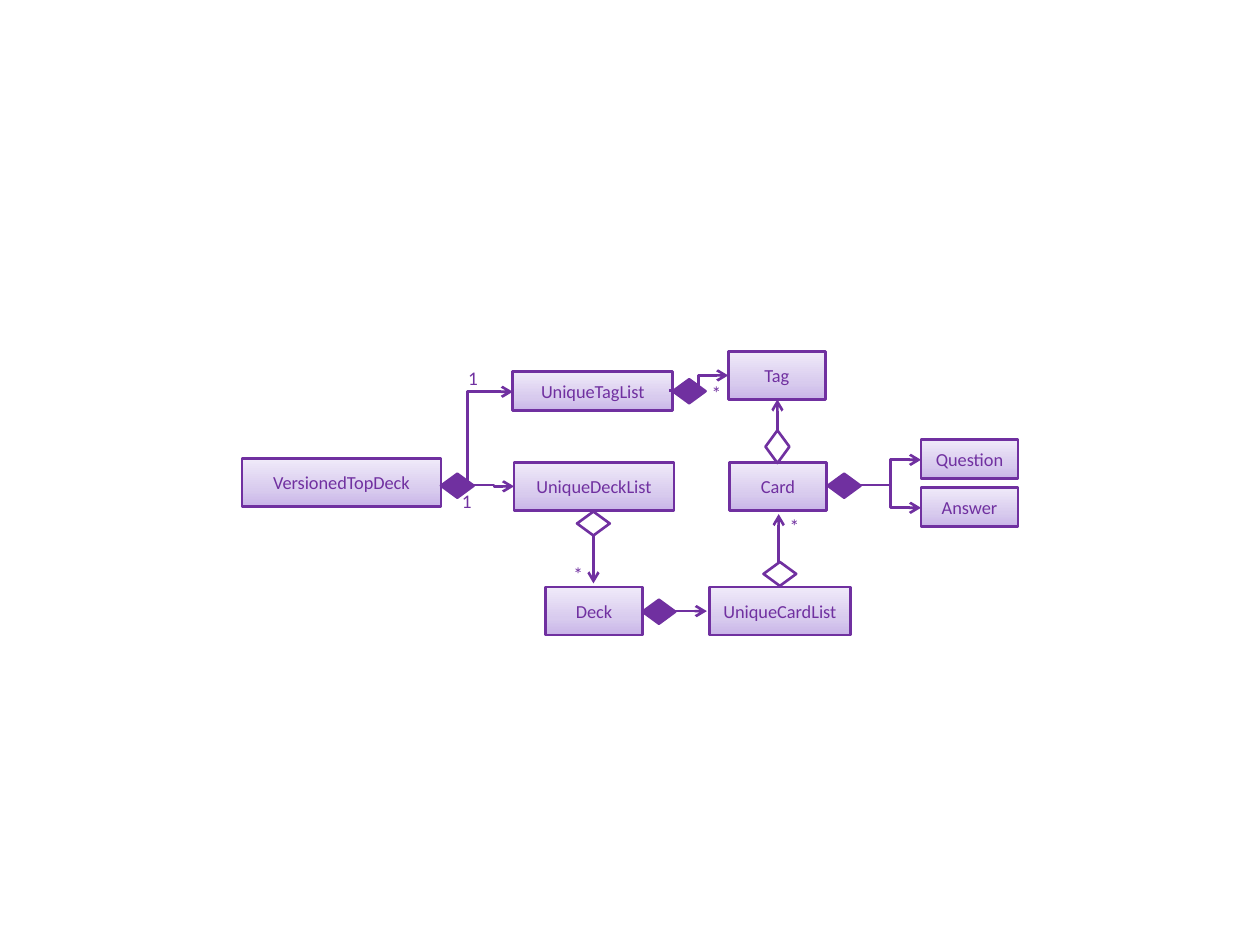
from copy import deepcopy

from lxml.etree import SubElement
from pptx import Presentation
from pptx.dml.color import RGBColor
from pptx.enum.shapes import MSO_CONNECTOR, MSO_SHAPE
from pptx.enum.text import MSO_ANCHOR, PP_ALIGN
from pptx.oxml.ns import qn
from pptx.util import Inches, Pt

COLORS = {"purple": "7030A0", "low": "C9B5E8", "mid": "D8CBEE", "high": "F0EAF9"}
PURPLE = RGBColor.from_string(COLORS["purple"])
STOPS = [(0, "low"), (0.35, "mid"), (1, "high")]
DIAMOND_W, DIAMOND_H = 0.26, 0.19

# Class boxes: name, left, top, width, height
CLASSES = [
    ("VersionedTopDeck", 1.92, 3.64, 1.58, 0.38),
    ("UniqueTagList", 4.07, 2.95, 1.27, 0.31),
    ("UniqueDeckList", 4.08, 3.67, 1.27, 0.38),
    ("Deck", 4.33, 4.66, 0.77, 0.38),
    ("UniqueCardList", 5.63, 4.66, 1.12, 0.38),
    ("Tag", 5.78, 2.79, 0.77, 0.38),
    ("Card", 5.79, 3.67, 0.77, 0.38),
    ("Question", 7.31, 3.49, 0.77, 0.31),
    ("Answer", 7.31, 3.87, 0.77, 0.31),
]
# Arrows: start x, start y, end x, end y
ELBOWS = [
    (3.76, 3.85, 4.08, 3.86),
    (5.31, 3.1, 5.78, 2.98),
    (6.83, 3.85, 7.31, 3.65),
    (6.83, 3.85, 7.31, 4.03),
]
STRAIGHTS = [
    (4.71, 4.25, 4.71, 4.63),
    (5.36, 4.85, 5.61, 4.85),
    (6.18, 4.46, 6.18, 4.08),
    (6.17, 3.42, 6.17, 3.17),
]
# Diamonds: left, top, filled, rotation
DIAMONDS = [
    (3.5, 3.76, True, 0),
    (5.34, 3.01, True, 0),
    (6.57, 3.76, True, 0),
    (5.1, 4.76, True, 0),
    (4.58, 4.06, False, 0),
    (6.06, 4.46, False, 0),
    (6.04, 3.45, False, 270),
]
# Multiplicities: text, left, top, width
LABELS = [
    ("1", 3.65, 2.91, 0.21),
    ("1", 3.6, 3.88, 0.21),
    ("*", 4.42, 4.46, 0.34),
    ("*", 5.58, 3.03, 0.21),
    ("*", 6.57, 3.76, 0.21),
    ("*", 6.2, 4.08, 0.21),
]


def outline(shape):
    shape.line.color.rgb = PURPLE
    shape.line.width = Pt(1.5)


def write(tf, text, size):
    tf.text = text
    p = tf.paragraphs[0]
    p.alignment = PP_ALIGN.CENTER
    font = p.runs[0].font
    font.name, font.size, font.color.rgb = "Calibri", Pt(size), PURPLE


def add_class(s, name, *box):
    sp = s.shapes.add_shape(MSO_SHAPE.RECTANGLE, *map(Inches, box))
    sp.shadow.inherit = False
    outline(sp)
    sp.fill.gradient()
    sp.fill.gradient_angle = 90
    gs_list = sp._element.spPr.find(".//" + qn("a:gsLst"))
    gs_list.append(deepcopy(gs_list[-1]))
    for stop, (position, key) in zip(sp.fill.gradient_stops, STOPS):
        stop.position = position
        stop.color.rgb = RGBColor.from_string(COLORS[key])
    tf = sp.text_frame
    tf.word_wrap = True
    tf.vertical_anchor = MSO_ANCHOR.MIDDLE
    write(tf, name, 10.5)


def add_arrow(s, kind, *ends):
    line = s.shapes.add_connector(kind, *map(Inches, ends))
    outline(line)
    SubElement(line.line._get_or_add_ln(), qn("a:tailEnd"), type="arrow")
    SubElement(line._element.spPr, qn("a:effectLst"))
    return line


def add_corner_arrow(s, x1, y1, x2, y2):
    """Arrow that rises from the start, then turns right to the end."""
    cx, cy = (x1 + x2) / 2, (y1 + y2) / 2
    half_w, half_h = (y1 - y2) / 2, (x2 - x1) / 2
    line = add_arrow(s, MSO_CONNECTOR.ELBOW,
                     cx + half_w, cy + half_h, cx - half_w, cy - half_h)
    sp_pr = line._element.spPr
    sp_pr.find(qn("a:xfrm")).set("rot", str(90 * 60000))
    sp_pr.find(qn("a:prstGeom")).set("prst", "bentConnector2")


def add_diamond(s, left, top, filled, rotation):
    sp = s.shapes.add_shape(MSO_SHAPE.FLOWCHART_DECISION, Inches(left), Inches(top),
                            Inches(DIAMOND_W), Inches(DIAMOND_H))
    sp.shadow.inherit = False
    sp.rotation = rotation
    outline(sp)
    if filled:
        sp.fill.solid()
        sp.fill.fore_color.rgb = PURPLE
    else:
        sp.fill.background()


def add_label(s, text, left, top, width):
    tf = s.shapes.add_textbox(Inches(left), Inches(top), Inches(width), Inches(0.2)).text_frame
    tf.word_wrap = True
    tf.margin_left = tf.margin_right = tf.margin_top = tf.margin_bottom = 0
    write(tf, text, 11)


def add_class_diagram(s):
    for item in CLASSES:
        add_class(s, *item)
    for ends in ELBOWS:
        add_arrow(s, MSO_CONNECTOR.ELBOW, *ends)
    for ends in STRAIGHTS:
        add_arrow(s, MSO_CONNECTOR.STRAIGHT, *ends)
    add_corner_arrow(s, 3.71, 3.88, 4.07, 3.11)
    for item in DIAMONDS:
        add_diamond(s, *item)
    for item in LABELS:
        add_label(s, *item)


prs = Presentation()
prs.slide_width, prs.slide_height = Inches(10), Inches(7.5)
add_class_diagram(prs.slides.add_slide(prs.slide_layouts[6]))
prs.save("out.pptx")
